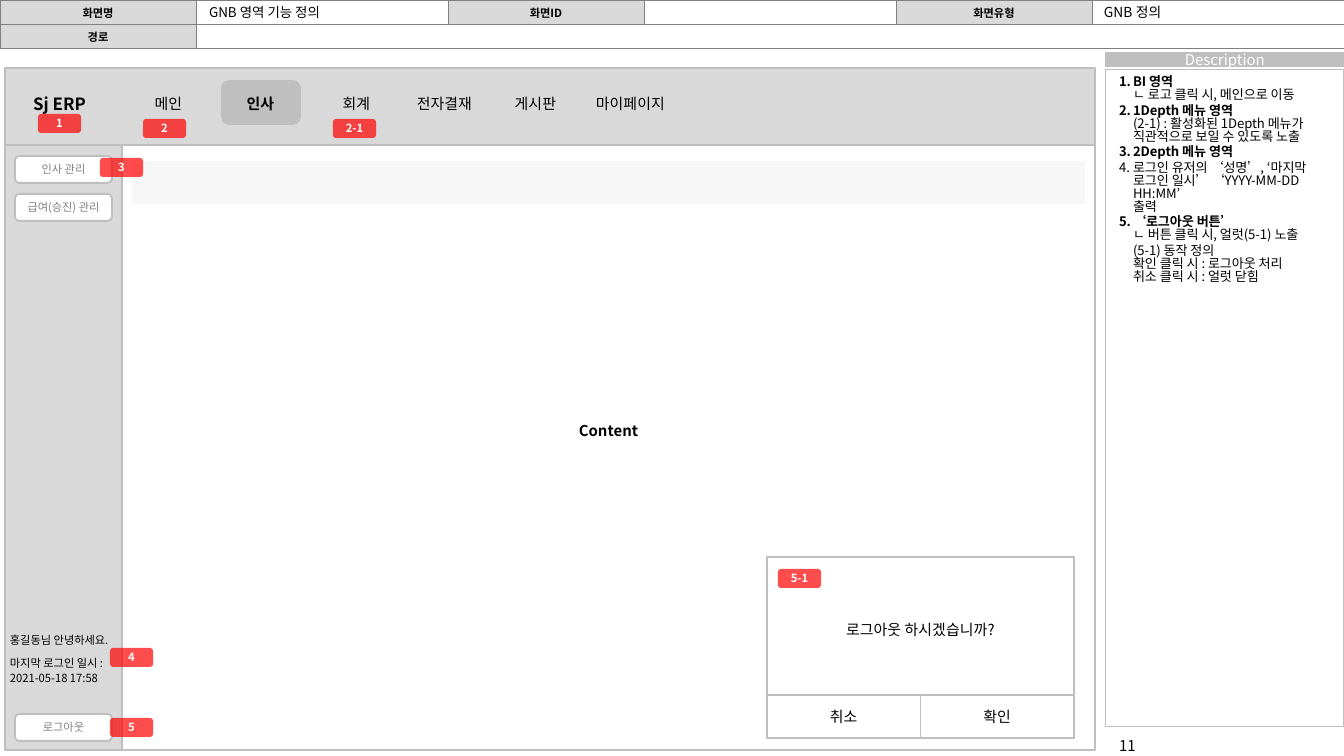
from lxml import etree
from pptx import Presentation
from pptx.dml.color import RGBColor
from pptx.enum.shapes import MSO_SHAPE
from pptx.enum.text import MSO_ANCHOR, PP_ALIGN
from pptx.oxml.ns import qn
from pptx.util import Emu, Pt

RECTANGLE = MSO_SHAPE.RECTANGLE
ROUNDED = MSO_SHAPE.ROUNDED_RECTANGLE
LEFT, CENTER = PP_ALIGN.LEFT, PP_ALIGN.CENTER
TOP, MIDDLE = MSO_ANCHOR.TOP, MSO_ANCHOR.MIDDLE
EMU_PER_PX = 914400 / 134.4
FONT = "Noto Sans CJK KR"
COLORS = {
    "black": "000000", "white": "FFFFFF", "panel": "D9D9D9", "border": "BFBFBF",
    "muted": "808080", "strip": "F2F2F2", "badge": "FF0000",
}
LABEL_INSETS = (5, 7, 13, 7)
TEXT_INSETS = (13, 7, 13, 7)
NO_INSETS = (0, 0, 0, 0)
MENU = [("메인", 124), ("인사", 216), ("회계", 312),
        ("전자결재", 400), ("게시판", 491), ("마이페이지", 586)]
SIDE_BUTTONS = [("인사 관리", 156), ("급여(승진) 관리", 194), ("로그아웃", 714)]
BADGES = [("1", 38, 114), ("2", 143, 119), ("2-1", 333, 119), ("3", 100, 158),
          ("4", 110, 648), ("5", 110, 718), ("5-1", 778, 569)]
DESCRIPTIONS = [
    ("BI 영역\vㄴ 로고 클릭 시, 메인으로 이동", True, True),
    ("1Depth 메뉴 영역\v(2-1) : 활성화된 1Depth 메뉴가\v직관적으로 보일 수 있도록 노출", True, True),
    ("2Depth 메뉴 영역", True, True),
    ("로그인 유저의 ‘성명’, ‘마지막 로그인 일시’ ‘YYYY-MM-DD HH:MM’\v출력", False, True),
    ("‘로그아웃 버튼’\vㄴ 버튼 클릭 시, 얼럿(5-1) 노출", True, True),
    ("(5-1) 동작 정의\v확인 클릭 시 : 로그아웃 처리\v취소 클릭 시 : 얼럿 닫힘", False, False),
]


def px(length):
    return Emu(round(length * EMU_PER_PX))


def rgb(name):
    return RGBColor.from_string(COLORS[name])


def format_paragraph(paragraph, size, color="black", bold=False, align=LEFT):
    paragraph.alignment = align
    for run in paragraph.runs:
        run.font.size = Pt(size)
        run.font.bold = bold
        run.font.color.rgb = rgb(color)
        run.font.name = FONT
        etree.SubElement(run.font._element, qn("a:ea"), typeface=FONT)
    for line_break in paragraph._p.findall(qn("a:br")):
        etree.SubElement(line_break, qn("a:rPr"), sz=str(round(size * 100)))


def write(shape, text, size, color="black", bold=False, align=CENTER,
          anchor=MIDDLE, insets=NO_INSETS, wrap=True):
    frame = shape.text_frame
    frame.text = text
    frame.word_wrap = wrap
    frame.vertical_anchor = anchor
    (frame.margin_left, frame.margin_top,
     frame.margin_right, frame.margin_bottom) = map(px, insets)
    for paragraph in frame.paragraphs:
        format_paragraph(paragraph, size, color, bold, align)


def add_box(shapes, kind, bounds, fill=None, line="border", width=1, opacity=None):
    shape = shapes.add_shape(kind, *map(px, bounds))
    shape.shadow.inherit = False
    if fill:
        shape.fill.solid()
        shape.fill.fore_color.rgb = rgb(fill)
    else:
        shape.fill.background()
    if opacity:
        color = shape.element.spPr.find(".//" + qn("a:srgbClr"))
        etree.SubElement(color, qn("a:alpha"), val=str(opacity * 1000))
    if line:
        shape.line.color.rgb = rgb(line)
        shape.line.width = Pt(width)
    else:
        shape.line.fill.background()
    return shape


def add_label(shapes, bounds, text, size=8, bold=False, align=CENTER,
              anchor=TOP, insets=LABEL_INSETS):
    label = shapes.add_textbox(*map(px, bounds))
    write(label, text, size, bold=bold, align=align, anchor=anchor, insets=insets)
    return label


def add_badge(shapes, text, left, top):
    badge = add_box(shapes, ROUNDED, (left, top, 43, 19), "badge", line=None, opacity=70)
    write(badge, text, 6, "white", bold=True, wrap=False)


def add_cell_borders(cell):
    properties = cell._tc.get_or_add_tcPr()
    for index, side in enumerate(("lnL", "lnR", "lnT", "lnB")):
        border = etree.Element(qn(f"a:{side}"), w=str(Pt(0.25)))
        fill = etree.SubElement(border, qn("a:solidFill"))
        etree.SubElement(fill, qn("a:srgbClr"), val=COLORS["muted"])
        properties.insert(index, border)


def add_header_table(shapes):
    frame = shapes.add_table(2, 6, px(0), px(0), px(1344), px(48))
    table = frame.table
    headings = {(0, 0): "화면명", (0, 2): "화면ID", (0, 4): "화면유형", (1, 0): "경로"}
    for index, column in enumerate(table.columns):
        column.width = px(252 if index % 2 else 196)
    for row_index, row in enumerate(table.rows):
        row.height = px(24)
        for column_index, cell in enumerate(row.cells):
            heading = headings.get((row_index, column_index))
            cell.fill.solid()
            cell.fill.fore_color.rgb = rgb("panel" if heading else "white")
            cell.margin_left = cell.margin_right = px(5)
            cell.margin_top = cell.margin_bottom = px(4)
            cell.vertical_anchor = MIDDLE
            paragraph = cell.text_frame.paragraphs[0]
            if heading:
                paragraph.text = heading
                format_paragraph(paragraph, 6, bold=True, align=CENTER)
            else:
                etree.SubElement(paragraph._p, qn("a:endParaRPr"), sz="600")
            add_cell_borders(cell)
    table.cell(1, 1).merge(table.cell(1, 5))
    return frame


def add_header(slide):
    frame = add_header_table(slide.shapes)
    title = slide.shapes.title
    title.left, title.top, title.width, title.height = map(px, (196, 0, 254, 24))
    write(title, "GNB 영역 기능 정의", 7.2, align=LEFT, insets=TEXT_INSETS)
    frame.element.addnext(title.element)
    add_label(slide.shapes, (1093, 0, 249, 24), "GNB 정의", 7.4, align=LEFT,
              anchor=MIDDLE, insets=(11, 5, 11, 5))


def add_screen(shapes):
    add_box(shapes, RECTANGLE, (5, 145, 117, 605), "panel")
    add_box(shapes, RECTANGLE, (5, 145, 1090, 605))
    add_box(shapes, RECTANGLE, (132, 161, 953, 43), "strip", line=None, opacity=60)
    add_box(shapes, RECTANGLE, (5, 68, 1090, 77), "panel")
    add_label(shapes, (15, 87, 97, 34), "Sj ERP", 9, bold=True)
    add_box(shapes, ROUNDED, (222, 81, 78, 43), "border")
    for text, left in MENU:
        add_label(shapes, (left, 88, 97, 32), text, bold=text == "인사")
    for text, top in SIDE_BUTTONS:
        button = add_box(shapes, ROUNDED, (15, top, 97, 27), "white")
        write(button, text, 6, "muted", wrap=False)
    greeting = add_label(shapes, (5, 629, 117, 73),
                         "홍길동님 안녕하세요.\n마지막 로그인 일시 : 2021-05-18 17:58", 6, align=LEFT)
    welcome, last_login = greeting.text_frame.paragraphs
    welcome.line_spacing = 0.8
    last_login.line_spacing = 1.1
    last_login.space_before = Pt(4.4)
    add_label(shapes, (122, 415, 973, 32), "Content", bold=True, insets=TEXT_INSETS)


def add_alert(shapes):
    group = shapes.add_group_shape().shapes
    message = add_box(group, RECTANGLE, (767, 557, 307, 181), "white")
    write(message, "로그아웃 하시겠습니까?", 8, insets=(0, 0, 0, 36), wrap=False)
    for index, text in enumerate(("취소", "확인")):
        button = add_box(group, RECTANGLE, (767 + index * 153.5, 695, 153.5, 43), "white")
        write(button, text, 8, wrap=False)


def add_description(shapes):
    add_box(shapes, RECTANGLE, (1106, 69, 238, 658), width=0.5)
    heading = add_box(shapes, RECTANGLE, (1106, 52, 238, 15), "border", width=0.5)
    write(heading, "Description", 8, "white")
    notes = add_label(shapes, (1106, 69, 239, 658), "", insets=TEXT_INSETS)
    frame = notes.text_frame
    for index, (text, has_heading, numbered) in enumerate(DESCRIPTIONS):
        paragraph = frame.add_paragraph() if index else frame.paragraphs[0]
        paragraph.text = text
        format_paragraph(paragraph, 7)
        paragraph.runs[0].font.bold = has_heading
        paragraph.line_spacing = 0.83
        paragraph.space_before = Pt(1.4 if index else 0)
        properties = paragraph._p.get_or_add_pPr()
        properties.set("marL", str(px(14)))
        properties.set("indent", str(px(-14 if numbered else 0)))
        if numbered:
            etree.SubElement(properties, qn("a:buFont"), typeface=FONT)
            etree.SubElement(properties, qn("a:buAutoNum"), type="arabicPeriod")
    add_label(shapes, (1106, 730, 108, 32), "11", align=LEFT, insets=TEXT_INSETS)


def main():
    presentation = Presentation()
    presentation.slide_width, presentation.slide_height = px(1344), px(756)
    slide = presentation.slides.add_slide(presentation.slide_layouts[5])
    add_header(slide)
    add_screen(slide.shapes)
    add_description(slide.shapes)
    add_alert(slide.shapes)
    for text, left, top in BADGES:
        add_badge(slide.shapes, text, left, top)
    presentation.save("out.pptx")


if __name__ == "__main__":
    main()
